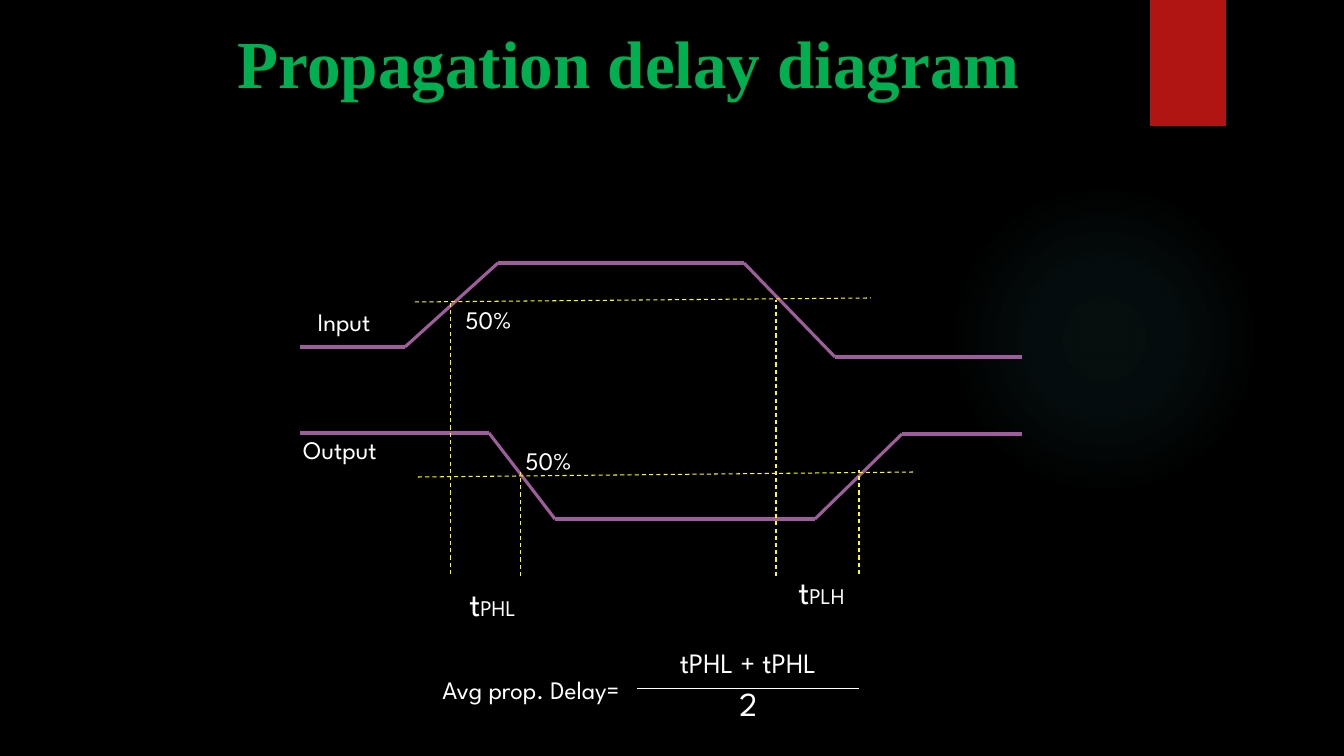
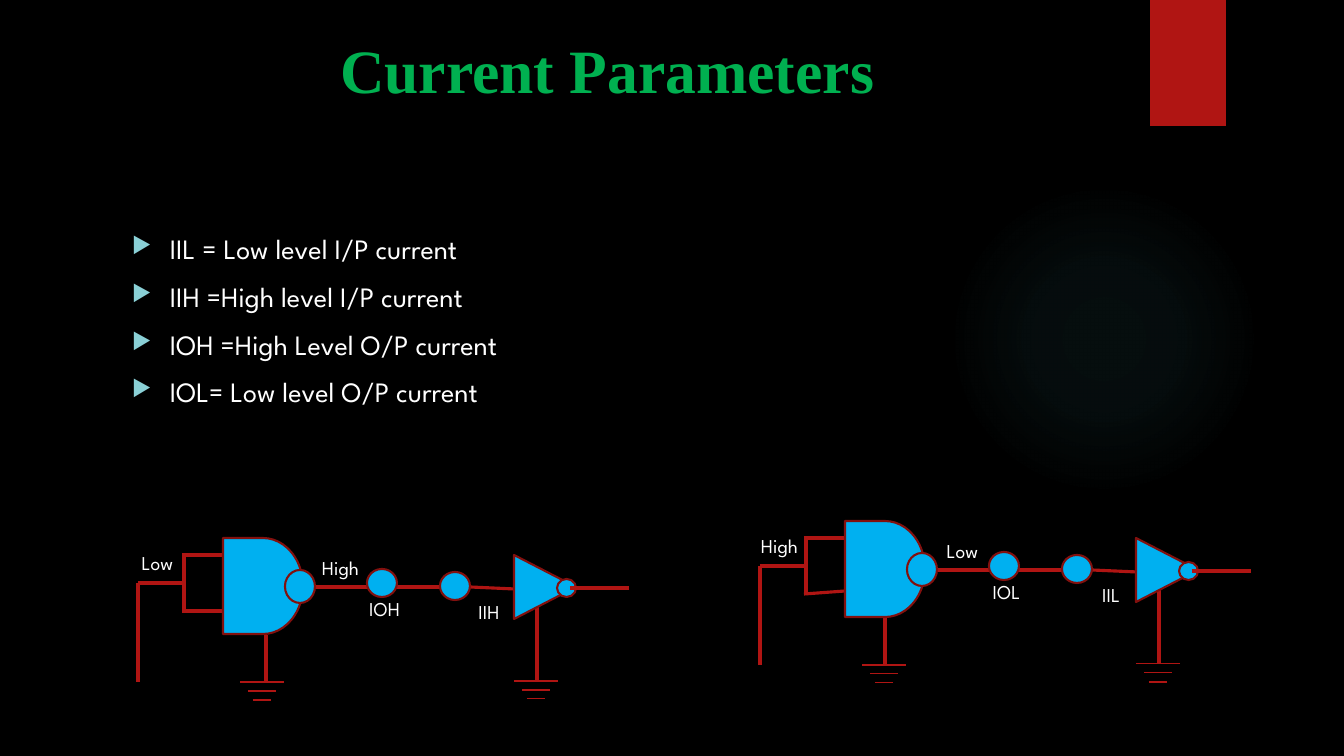
from itertools import pairwise

from pptx import Presentation
from pptx.dml.color import RGBColor
from pptx.enum.dml import MSO_LINE_DASH_STYLE as DASH
from pptx.enum.shapes import MSO_CONNECTOR, MSO_SHAPE as SHAPE
from pptx.enum.text import MSO_ANCHOR as ANCHOR, PP_ALIGN as ALIGN
from pptx.oxml import parse_xml
from pptx.oxml.ns import nsdecls, qn
from pptx.util import Pt

PX = 9071
color = RGBColor.from_string

BLACK = "000000"
WHITE = "FFFFFF"
GREEN = "00B050"
RED = "B01513"
DARK_RED = "82100E"
BLUE = "00B0F0"
PURPLE = "9E5E9B"
YELLOW = "FFFF00"
BULLET = "8AD0D6"
GLOW = "50B9C1"
BODY_FONT = "League Spartan"
TITLE_FONT = "Times New Roman"


def write(slide, text, *, at, size=18, font=BODY_FONT, ink=WHITE, bold=False,
          align=ALIGN.CENTER, anchor=ANCHOR.MIDDLE, small="", bullets=False):
    box = slide.shapes.add_textbox(*(n * PX for n in at))
    frame = box.text_frame
    frame.word_wrap = True
    frame.vertical_anchor = anchor
    for row, line in enumerate(text.split("\n")):
        para = frame.add_paragraph() if row else frame.paragraphs[0]
        para.alignment = align
        for words, points in ((line, size), (small, 16)):
            if words:
                span = para.add_run()
                span.text = words
                span.font.size = Pt(points)
                span.font.name = font
                span.font.bold = bold
                span.font.color.rgb = color(ink)
        if bullets:
            para.space_before = Pt(10)
            props = para._p.get_or_add_pPr()
            props.set("marL", str(38 * PX))
            props.set("indent", str(-38 * PX))
            for xml in (
                f'<a:buClr {nsdecls("a")}><a:srgbClr val="{BULLET}"/></a:buClr>',
                f'<a:buSzPct {nsdecls("a")} val="80000"/>',
                f'<a:buChar {nsdecls("a")} char="▶"/>',
            ):
                props.append(parse_xml(xml))


def wire(slide, *points, ink=RED, width=2.25, dash=None):
    for start, end in pairwise(points):
        line = slide.shapes.add_connector(
            MSO_CONNECTOR.STRAIGHT, *(n * PX for n in start + end))
        line.line.color.rgb = color(ink)
        line.line.width = Pt(width)
        if dash:
            line.line.dash_style = dash
        line.element.spPr.append(parse_xml(f'<a:effectLst {nsdecls("a")}/>'))


deck = Presentation()
deck.slide_width = 1344 * PX
deck.slide_height = 756 * PX

titles = [
    ("Propagation delay diagram", 48, (108, 10, 1042, 104)),
    ("Current Parameters", 44, (89, 21, 1037, 95)),
]
glow_stops = "".join(
    f'<a:gs pos="{place}000"><a:srgbClr val="{GLOW}">'
    f'<a:alpha val="{alpha}000"/></a:srgbClr></a:gs>'
    for place, alpha in ((0, 7), (36, 6), (69, 0)))

for title, size, at in titles:
    slide = deck.slides.add_slide(deck.slide_layouts[6])
    slide.background.fill.solid()
    slide.background.fill.fore_color.rgb = color(BLACK)

    glow = slide.shapes.add_shape(
        SHAPE.OVAL, 949 * PX, 184 * PX, 310 * PX, 310 * PX)
    glow.shadow.inherit = False
    glow.line.fill.background()
    glow.fill.background()
    props = glow.element.spPr
    props.replace(props.find(qn("a:noFill")), parse_xml(
        f'<a:gradFill {nsdecls("a")}><a:gsLst>{glow_stops}</a:gsLst>'
        '<a:path path="circle"><a:fillToRect l="50000" t="50000" '
        'r="50000" b="50000"/></a:path></a:gradFill>'))

    tab = slide.shapes.add_shape(
        SHAPE.RECTANGLE, 1150 * PX, 0, 76 * PX, 126 * PX)
    tab.shadow.inherit = False
    tab.line.fill.background()
    tab.fill.solid()
    tab.fill.fore_color.rgb = color(RED)

    write(slide, title, at=at, size=size, font=TITLE_FONT, ink=GREEN, bold=True)

timing, currents = deck.slides

input_wave = [(300, 347), (405, 347), (498, 263),
              (744, 263), (835, 357), (1022, 357)]
output_wave = [(300, 433), (489, 433), (555, 519),
               (815, 519), (902, 434), (1022, 434)]
for wave in (input_wave, output_wave):
    wire(timing, *wave, ink=PURPLE)

thresholds = [((415, 302), (871, 298)), ((418, 477), (913, 472))]
markers = [((x, bottom), (x, top)) for x, bottom, top in (
    (451, 574, 300), (521, 576, 472), (776, 576, 300), (859, 574, 470))]
for ends in thresholds + markers:
    wire(timing, *ends, ink=YELLOW, width=0.75, dash=DASH.DASH)

for text, at, size, small in (
    ("Input", (283, 300, 122, 42), 18, ""),
    ("Output", (279, 428, 122, 42), 18, ""),
    ("50%", (436, 297, 105, 44), 18, ""),
    ("50%", (496, 438, 105, 44), 18, ""),
    ("t", (421, 577, 143, 53), 24, "PHL"),
    ("t", (750, 565, 143, 53), 24, "PLH"),
    ("Avg prop. Delay=", (297, 668, 468, 42), 18, ""),
    ("tPHL + tPHL", (639, 636, 218, 52), 20, ""),
    ("2", (681, 677, 135, 52), 24, ""),
):
    write(timing, text, at=at, size=size, small=small)
wire(timing, (637, 689), (859, 689), ink=WHITE, width=0.75)

write(currents,
      "IIL = Low level I/P current\n"
      "IIH =High level I/P current\n"
      "IOH =High Level O/P current\n"
      "IOL= Low level O/P current",
      at=(122, 227, 986, 463), size=20, align=ALIGN.LEFT,
      anchor=ANCHOR.TOP, bullets=True)

circuit_parts = [
    (SHAPE.FLOWCHART_DELAY, (223, 538, 80, 96), 0),
    (SHAPE.OVAL, (285, 570, 30, 33), 0),
    (SHAPE.OVAL, (367, 569, 30, 28), 0),
    (SHAPE.OVAL, (440, 572, 30, 28), 0),
    (SHAPE.ISOSCELES_TRIANGLE, (513, 556, 64, 62), 90),
    (SHAPE.OVAL, (557, 579, 19, 18), 0),
]
label_places = [(113, 541, 89, 44), (296, 546, 89, 44),
                (340, 587, 89, 44), (452, 598, 74, 28)]

for dx, dy, labels, slant, stem in (
    (0, 0, ("Low", "High", "IOH", "IIH"), 0, (266, 683)),
    (622, -17, ("High", "Low", "IOL", "IIL"), -3, (263, 681)),
):
    paths = [
        ((182, 555), (223, 555)),
        ((182, 611), (223, 611 + slant)),
        ((184, 555), (184, 611)),
        ((184, 583), (138, 583), (138, 682)),
        ((293, 587), (378, 587)),
        ((387, 587), (446, 587)),
        ((470, 587), (515, 589)),
        ((stem[0], 635), stem),
        ((537, 606), (537, 680)),
    ]
    for points in paths:
        wire(currents, *((x + dx, y + dy) for x, y in points))

    for kind, (left, top, width, height), turn in circuit_parts:
        part = currents.shapes.add_shape(
            kind, (left + dx) * PX, (top + dy) * PX, width * PX, height * PX)
        part.rotation = turn
        part.shadow.inherit = False
        part.fill.solid()
        part.fill.fore_color.rgb = color(BLUE)
        part.line.color.rgb = color(DARK_RED)
        part.line.width = Pt(1.5)

    wire(currents, (570 + dx, 588 + dy), (629 + dx, 588 + dy))

    for center, top in ((262, 682), (536, 681)):
        for step, half in enumerate((22, 14, 9)):
            y = top + dy + 9 * step
            wire(currents, (center - half + dx, y), (center + half + dx, y),
                 width=0.75)

    for text, (left, top, width, height) in zip(labels, label_places):
        write(currents, text, at=(left + dx, top + dy, width, height), size=14)

deck.save("out.pptx")
